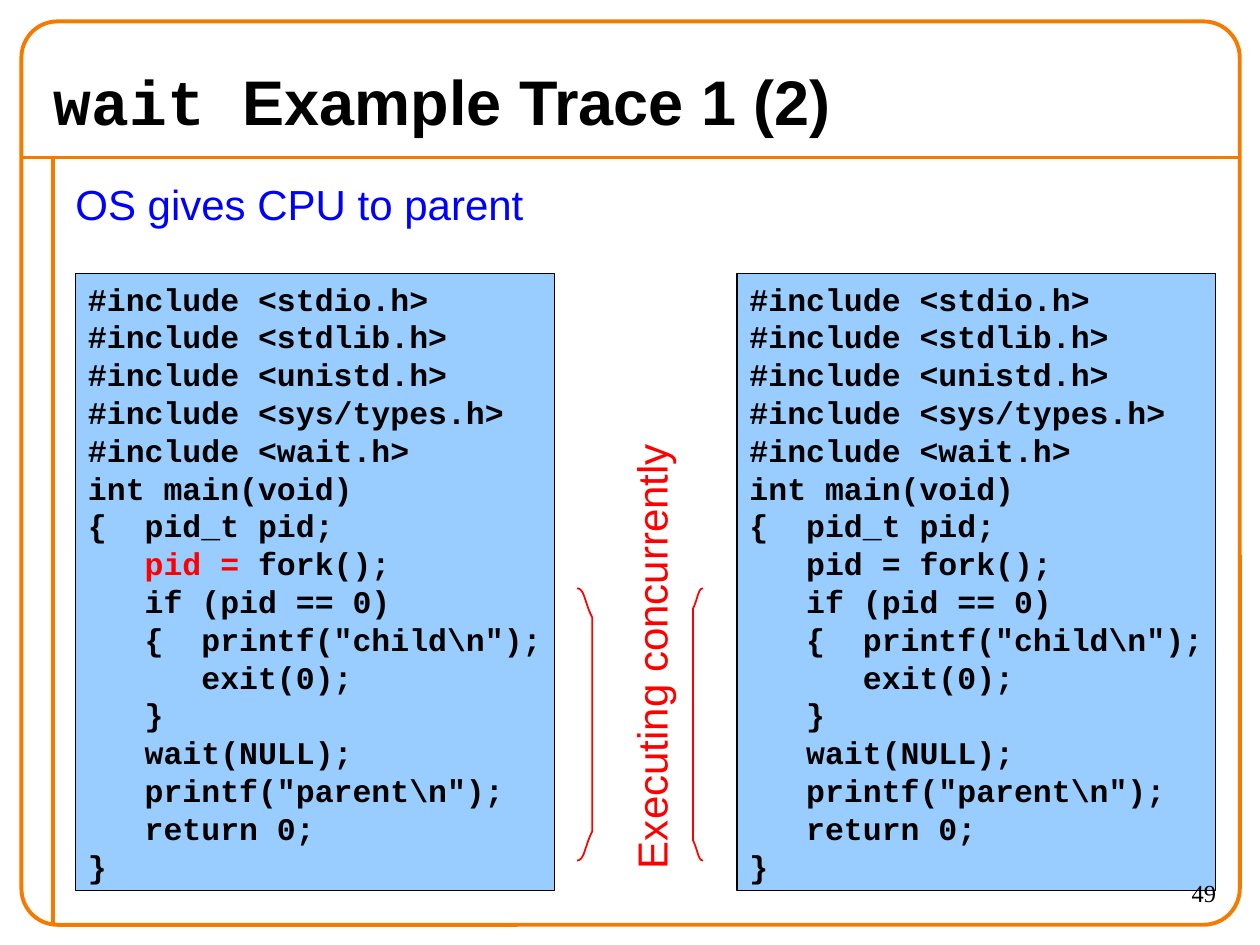
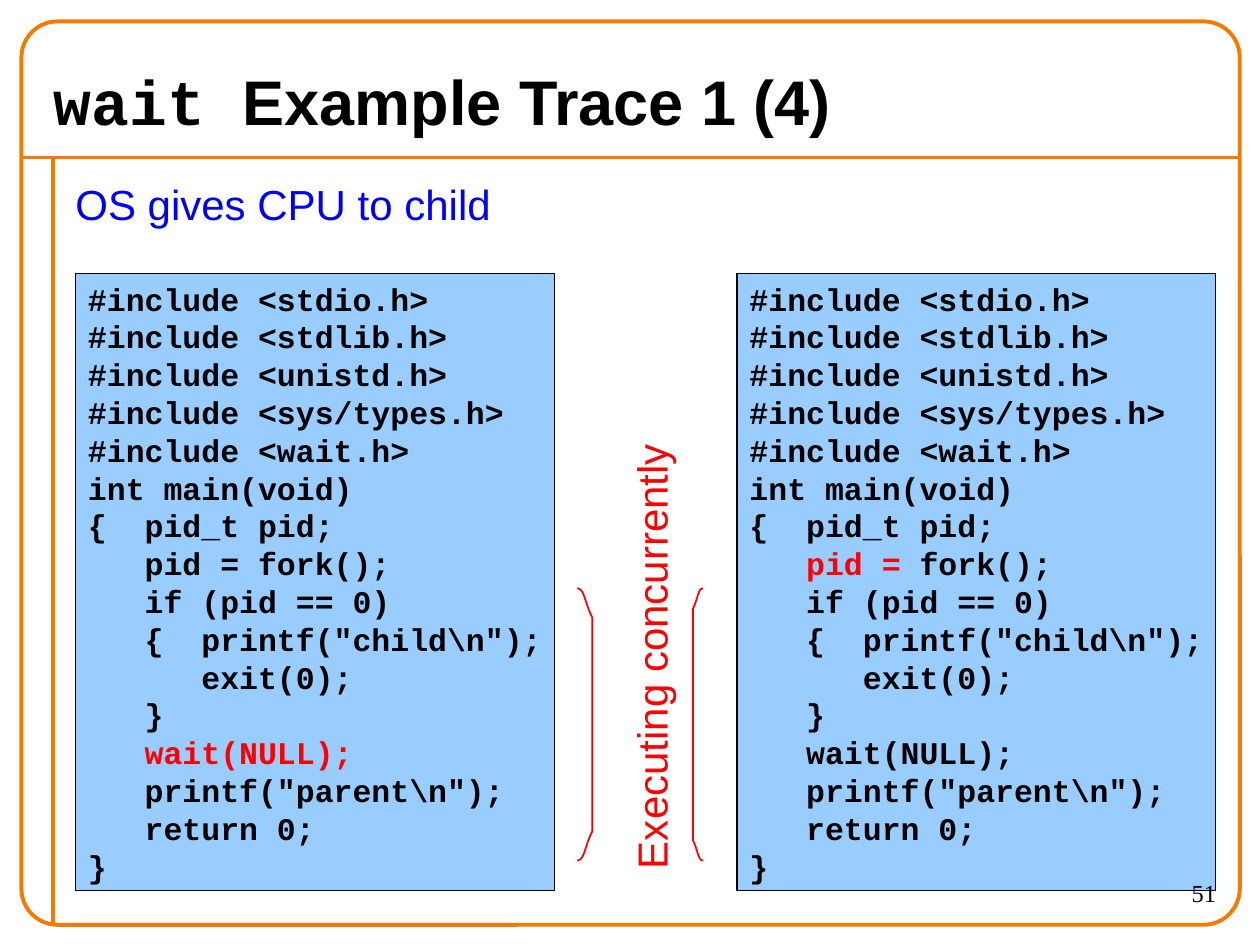
"""Build two slides that trace a fork and wait example in parent and child."""
from dataclasses import dataclass
from typing import NamedTuple, Optional

import lxml.etree
import pptx
import pptx.dml.color
import pptx.enum.shapes
import pptx.enum.text
import pptx.oxml.ns
import pptx.util

Inches = pptx.util.Inches
Pt = pptx.util.Pt
MSO_SHAPE = pptx.enum.shapes.MSO_SHAPE
PP_ALIGN = pptx.enum.text.PP_ALIGN
MSO_ANCHOR = pptx.enum.text.MSO_ANCHOR

ORANGE = "F47A00"
BLUE = "0000FF"
RED = "FF0000"
BLACK = "000000"
PANEL_FILL = "99CCFF"
SANS = "Arial"
MONO = "Courier New"
SERIF = "Times New Roman"

CODE = r"""#include <stdio.h>
#include <stdlib.h>
#include <unistd.h>
#include <sys/types.h>
#include <wait.h>
int main(void)
{  pid_t pid;
   pid = fork();
   if (pid == 0)
   {  printf("child\n");
      exit(0);
   }
   wait(NULL);
   printf("parent\n");
   return 0;
}""".splitlines()


class Box(NamedTuple):
    """Left, top, width and height in inches."""
    left: float
    top: float
    width: float
    height: float

    def emu(self) -> list[int]:
        """Return the four lengths for python-pptx."""
        return [Inches(v) for v in self]


class Bracket(NamedTuple):
    """Curved bracket: open side, back side and height of each curve in inches."""
    open_x: float
    back_x: float
    curve: float


@dataclass(frozen=True)
class Trace:
    """What differs between the slides."""
    step: int
    running: str
    parent_mark: Optional[str]
    child_mark: Optional[str]
    number: int


TRACES = [
    Trace(2, "parent", "pid = ", None, 49),
    Trace(4, "child", "wait(NULL);", "pid = ", 51),
]
FRAME = Box(0.17, 0.17, 9.67, 7.17)
RULES = [(0.17, 1.25, 9.83, 1.25), (0.42, 1.25, 0.42, 7.33)]
PARENT_PANEL = Box(0.6, 2.17, 3.8, 4.9)
CHILD_PANEL = PARENT_PANEL._replace(left=5.85)
BRACKETS = [Bracket(5.58, 5.5, 0.16), Bracket(4.58, 4.7, 0.23)]
BRACKET_TOP, BRACKET_BOTTOM = 4.67, 6.83
CURVE_STEPS = 12


def rgb(color: str) -> pptx.dml.color.RGBColor:
    """Turn a hex string into a colour."""
    return pptx.dml.color.RGBColor.from_string(color)


def set_line(item, color: str, width: float) -> None:
    """Set the outline colour and width in points."""
    item.line.color.rgb = rgb(color)
    item.line.width = Pt(width)


def add_run(p, text: str, *, size: float, font: str = SANS,
            color: str = BLACK, bold: bool = False) -> None:
    """Append formatted text to a paragraph."""
    r = p.add_run()
    r.text = text
    r.font.size = Pt(size)
    r.font.name = font
    r.font.bold = bold
    r.font.color.rgb = rgb(color)


def add_text_box(s, box: Box, *, anchor=MSO_ANCHOR.TOP, align=PP_ALIGN.LEFT,
                 top_inset: float = 0.05, rotation: float = 0):
    """Add a wrapping text box and return its first paragraph."""
    sp = s.shapes.add_textbox(*box.emu())
    sp.rotation = rotation
    tf = sp.text_frame
    tf.word_wrap = True
    tf.vertical_anchor = anchor
    tf.margin_top = Inches(top_inset)
    p = tf.paragraphs[0]
    p.alignment = align
    return p


def add_frame(s) -> None:
    """Draw the orange rules and the rounded border."""
    for rule in RULES:
        c = s.shapes.add_connector(pptx.enum.shapes.MSO_CONNECTOR.STRAIGHT,
                                   *[Inches(v) for v in rule])
        set_line(c, ORANGE, 2.25)
        lxml.etree.SubElement(c._element.spPr, pptx.oxml.ns.qn("a:effectLst"))
    sp = s.shapes.add_shape(MSO_SHAPE.ROUNDED_RECTANGLE, *FRAME.emu())
    sp.adjustments[0] = 0.04
    sp.shadow.inherit = False
    sp.fill.background()
    set_line(sp, ORANGE, 2.25)


def add_code_panel(s, box: Box, mark: Optional[str]) -> None:
    """Draw the program listing with the marked statement in red."""
    sp = s.shapes.add_shape(MSO_SHAPE.RECTANGLE, *box.emu())
    sp.shadow.inherit = False
    sp.fill.solid()
    sp.fill.fore_color.rgb = rgb(PANEL_FILL)
    set_line(sp, BLACK, 0.75)
    tf = sp.text_frame
    tf.word_wrap = False
    tf.vertical_anchor = MSO_ANCHOR.TOP
    for i, line in enumerate(CODE):
        p = tf.add_paragraph() if i else tf.paragraphs[0]
        p.alignment = PP_ALIGN.LEFT
        p.line_spacing = Pt(21.6)
        before, marked, after = line.partition(mark) if mark else (line, "", "")
        for text, color in ((before, BLACK), (marked, RED), (after, BLACK)):
            if text:
                add_run(p, text, size=18, font=MONO, color=color, bold=True)


def add_bracket(s, bracket: Bracket) -> None:
    """Draw a bracket whose ends bend from the open side to the back."""
    upper = []
    for i in range(CURVE_STEPS + 1):
        t = i / CURVE_STEPS
        ease = 1.5 * t * (1 - t) + t ** 3
        drop = 1.5 * t ** 2 * (1 - t) + t ** 3
        x = bracket.open_x + (bracket.back_x - bracket.open_x) * ease
        upper.append((x, bracket.curve * drop))
    points = [(x, BRACKET_TOP + y) for x, y in upper]
    points += [(x, BRACKET_BOTTOM - y) for x, y in reversed(upper)]
    points = [(Inches(x), Inches(y)) for x, y in points]
    fb = s.shapes.build_freeform(*points[0])
    fb.add_line_segments(points[1:], close=False)
    sp = fb.convert_to_shape()
    sp.shadow.inherit = False
    sp.fill.background()
    set_line(sp, RED, 1)


def add_trace_slide(prs, trace: Trace) -> None:
    """Add one step of the trace."""
    s = prs.slides.add_slide(prs.slide_layouts[6])
    add_frame(s)
    p = add_text_box(s, Box(0.33, 0.42, 9.33, 0.75), anchor=MSO_ANCHOR.MIDDLE)
    add_run(p, "wait ", size=36, font=MONO, bold=True)
    add_run(p, f"Example Trace 1 ({trace.step})", size=36, bold=True)
    p = add_text_box(s, Box(0.5, 1.33, 9.25, 6), top_inset=0.09)
    add_run(p, f"OS gives CPU to {trace.running}", size=24, color=BLUE)
    add_code_panel(s, PARENT_PANEL, trace.parent_mark)
    add_code_panel(s, CHILD_PANEL, trace.child_mark)
    for bracket in BRACKETS:
        add_bracket(s, bracket)
    p = add_text_box(s, Box(3.29, 4.87, 3.75, 0.5), rotation=270)
    add_run(p, "Executing concurrently", size=24, color=RED)
    p = add_text_box(s, Box(8.75, 6.92, 1, 0.42), align=PP_ALIGN.RIGHT)
    add_run(p, str(trace.number), size=14, font=SERIF)


def main() -> None:
    """Build and save the presentation."""
    prs = pptx.Presentation()
    prs.slide_width = Inches(10)
    prs.slide_height = Inches(7.5)
    for trace in TRACES:
        add_trace_slide(prs, trace)
    prs.save("out.pptx")


if __name__ == "__main__":
    main()
